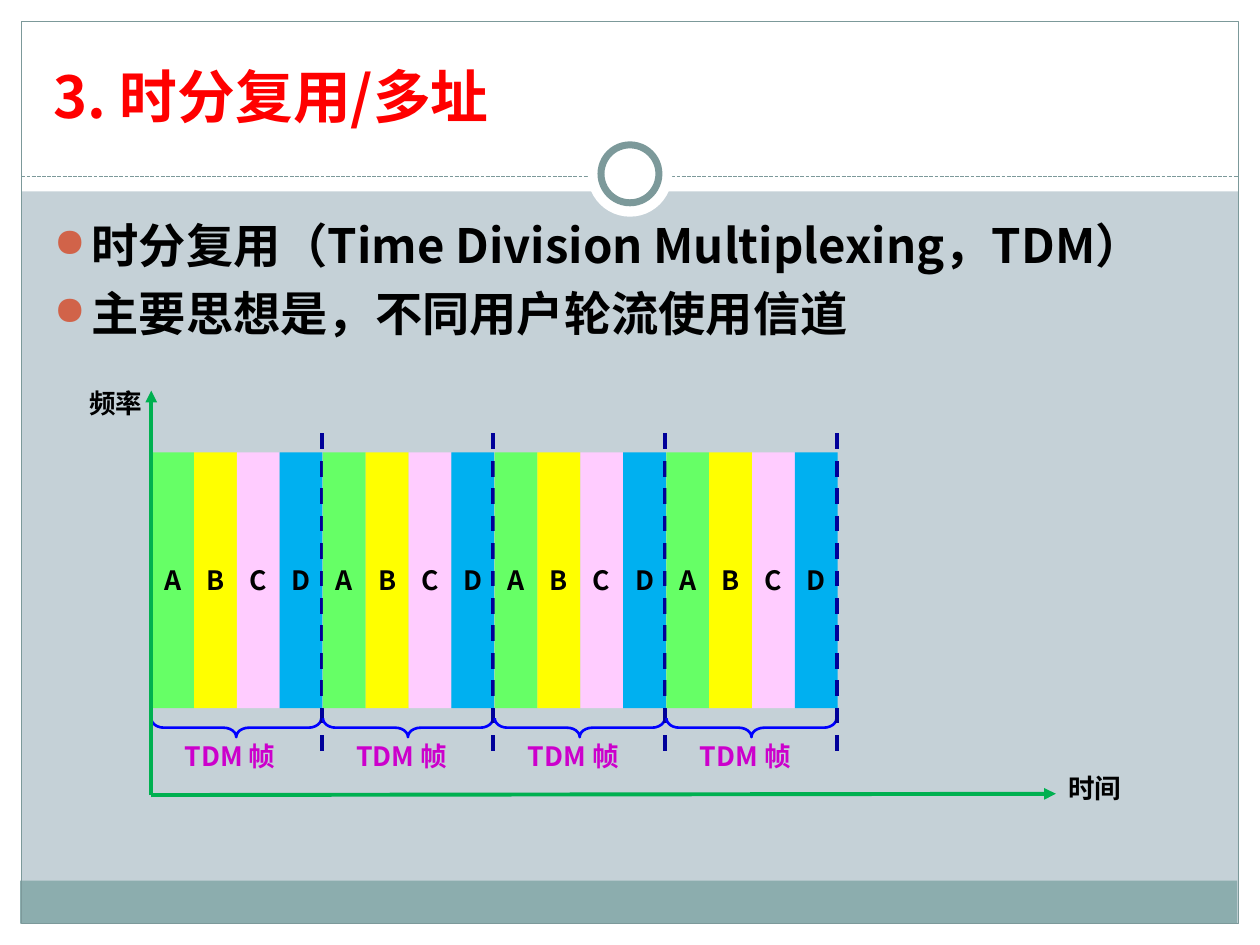
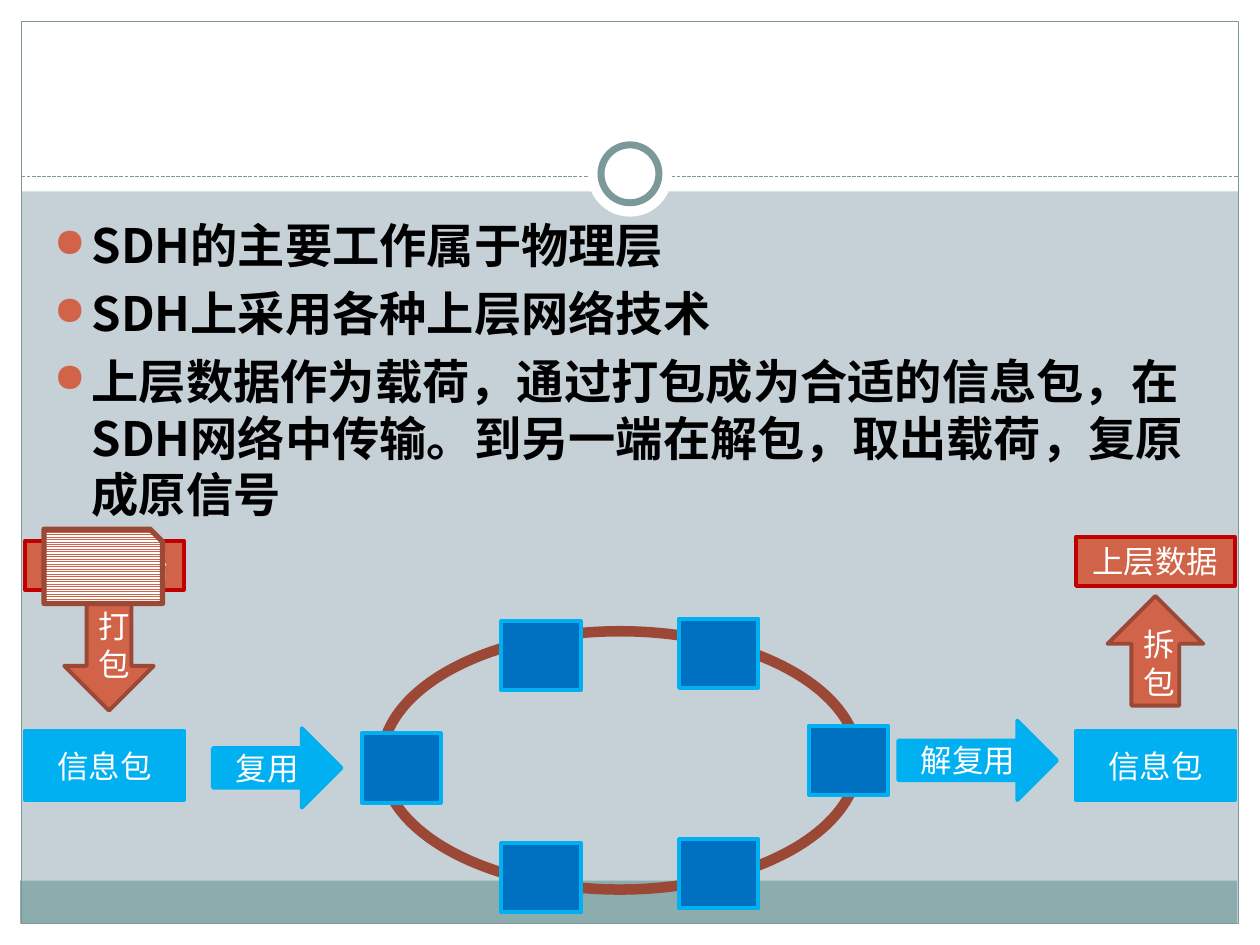
from lxml import etree
from pptx import Presentation
from pptx import util as u
from pptx.dml.color import RGBColor
from pptx.enum import dml, shapes, text
from pptx.oxml.ns import qn

presentation = Presentation()
presentation.slide_width = u.Inches(10)
presentation.slide_height = u.Inches(7.5)

# Grid: 100 columns by 75 rows of square cells
COLUMN = presentation.slide_width / 100
ROW = presentation.slide_height / 75

FONT = "Noto Sans CJK SC"
WHITE, BLACK, SLATE, BAND = "FFFFFF", "000000", "7C999A", "8CADAE"
RUST, BROWN, RED = "D16349", "9B4936", "C00000"
SKY, BLUE, GREEN, NAVY = "00B0F0", "0070C0", "00B050", "000099"

colour = RGBColor.from_string
KIND = shapes.MSO_SHAPE
DASH = dml.MSO_LINE
MIDDLE, BOTTOM, TOP = text.MSO_ANCHOR.MIDDLE, text.MSO_ANCHOR.BOTTOM, text.MSO_ANCHOR.TOP


def draw(slide, kind, box, fill=None, line=None, width=0, label="", size=18,
         ink=WHITE, bold=False, wrap=True, anchor=MIDDLE):
    """Add a shape, or a left-aligned text box when kind is None."""
    left, top, wide, high = box
    place = [int(v) for v in (left * COLUMN, top * ROW, wide * COLUMN, high * ROW)]
    if kind is None:
        shape = slide.shapes.add_textbox(*place)
    else:
        shape = slide.shapes.add_shape(kind, *place)
        shape.shadow.inherit = False
    if fill:
        shape.fill.solid()
        shape.fill.fore_color.rgb = colour(fill)
    else:
        shape.fill.background()
    if line:
        shape.line.color.rgb = colour(line)
        shape.line.width = u.Pt(width)
    else:
        shape.line.fill.background()
    if label:
        frame = shape.text_frame
        frame.text = label
        frame.word_wrap = wrap
        frame.vertical_anchor = anchor
        for paragraph in frame.paragraphs:
            paragraph.alignment = text.PP_ALIGN.LEFT if kind is None else text.PP_ALIGN.CENTER
            for run in paragraph.runs:
                run.font.size = u.Pt(size)
                run.font.bold = bold
                run.font.color.rgb = colour(ink)
                run.font.name = FONT
                etree.SubElement(run.font._element, qn("a:ea"), typeface=FONT)
    return shape


def connect(slide, start, end, ink, width, dash=None, arrow=False):
    """Add a straight line, dashed or with an arrowhead at its end."""
    connector = slide.shapes.add_connector(
        shapes.MSO_CONNECTOR.STRAIGHT, int(start[0] * COLUMN), int(start[1] * ROW),
        int(end[0] * COLUMN), int(end[1] * ROW))
    connector.line.color.rgb = colour(ink)
    connector.line.width = u.Pt(width)
    if dash:
        connector.line.dash_style = dash
    properties = connector._element.spPr
    if arrow:
        etree.SubElement(properties.find(qn("a:ln")), qn("a:tailEnd"), type="triangle")
    etree.SubElement(properties, qn("a:effectLst"))


# Shared look and bulleted text of both slides
bodies = [
    "时分复用（Time Division Multiplexing，TDM）\n主要思想是，不同用户轮流使用信道",
    "SDH的主要工作属于物理层\nSDH上采用各种上层网络技术\n"
    "上层数据作为载荷，通过打包成为合适的信息包，在SDH网络中传输。到另一端在解包，取出载荷，复原成原信号",
]
margins = [(0, 73.3, 100, 1.7), (0, 0, 100, 15.2), (0, 0, 1.7, 75), (98.3, 0, 1.7, 75)]
for body in bodies:
    slide = presentation.slides.add_slide(presentation.slide_layouts[6])
    slide.background.fill.solid()
    slide.background.fill.fore_color.rgb = colour("C5D1D7")
    for margin in margins:
        draw(slide, KIND.RECTANGLE, margin, WHITE)
    draw(slide, KIND.RECTANGLE, (1.6, 69.9, 96.6, 3.4), BAND)
    draw(slide, KIND.RECTANGLE, (1.7, 1.7, 96.6, 71.6), line=SLATE, width=0.75)
    connect(slide, (1.7, 14), (98.3, 14), SLATE, 0.75, DASH.SQUARE_DOT)
    draw(slide, KIND.OVAL, (46.65, 10.5, 6.7, 6.7), WHITE)
    draw(slide, KIND.OVAL, (47.7, 11.5, 4.6, 4.6), WHITE, SLATE, 4)
    if body == bodies[1]:
        draw(slide, KIND.OVAL, (30.3, 50.1, 37.8, 20.5), line=BROWN, width=6)

    bullets = draw(slide, None, (3.3, 16.7, 93, 50), label=body, size=27,
                   ink=BLACK, bold=True, anchor=TOP)
    for paragraph in bullets.text_frame.paragraphs:
        paragraph.space_before = u.Pt(6.3)
        properties = paragraph._element.get_or_add_pPr()
        properties.set("marL", str(int(3 * COLUMN)))
        properties.set("indent", str(int(-3 * COLUMN)))
        tint = etree.SubElement(properties, qn("a:buClr"))
        etree.SubElement(tint, qn("a:srgbClr"), val=RUST)
        etree.SubElement(properties, qn("a:buSzPct"), val="85000")
        etree.SubElement(properties, qn("a:buChar"), char="●")

multiplexing, transport = presentation.slides

# Slide 1: title
draw(multiplexing, None, (3.3, 2.5, 93.3, 8.3), label="3. 时分复用/多址", size=33,
     ink="FF0000", bold=True, anchor=BOTTOM)

# Slide 1: time slots A to D in four frames
ORIGIN, FRAME, SLOT = 12, 13.63, 3.4
FRAMES = 4
slots = {"A": "66FF66", "B": "FFFF00", "C": "FFCCFF", "D": SKY}
captions = [("频率", 6.1, 30.5, 6.2, BLACK), ("时间", 83.8, 61.1, 6.2, BLACK)]
for index in range(FRAMES):
    left = ORIGIN + index * FRAME
    for position, (user, fill) in enumerate(slots.items()):
        draw(multiplexing, KIND.RECTANGLE, (left + position * SLOT, 35.9, SLOT, 20.3),
             fill, label=user, size=15.2, ink=BLACK, bold=True, wrap=False)
    brace = draw(multiplexing, KIND.LEFT_BRACE, (left + 6, 51, 1.5, 13.5),
                 line="0000FF", width=1.5)
    brace.rotation = 270
    brace.adjustments[0] = 0.67
    edge = left + FRAME - 0.1
    connect(multiplexing, (edge, 34.4), (edge, 60.1), NAVY, 2.25, DASH.DASH)
    captions.append(("TDM 帧", left + 1.65, 58.5, 9.9, "CC00CC"))

# Slide 1: axes and captions
connect(multiplexing, (ORIGIN, 63.1), (83.8, 63), GREEN, 2.25, arrow=True)
connect(multiplexing, (ORIGIN, 63.1), (ORIGIN, 31), GREEN, 2.25, arrow=True)
for label, left, top, wide, ink in captions:
    caption = draw(multiplexing, None, (left, top, wide, 3.3), label=label, size=15.2,
                   ink=ink, bold=True, wrap=False, anchor=TOP)
    caption.text_frame.paragraphs[0].line_spacing = 0.9

# Slide 2: nodes on the ring
nodes = [(28.7, 58.2), (39.8, 49.3), (53.9, 49.1), (64.2, 57.6), (39.8, 66.9), (53.9, 66.6)]
for left, top in nodes:
    draw(transport, KIND.RECTANGLE, (left, top, 6.3, 5.5), BLUE, SKY, 2.25)

# Slide 2: packing on the left, unpacking on the right
steps = [
    (KIND.RECTANGLE, (2, 42.9, 12.6, 3.9), RUST, RED, "上层数据"),
    (KIND.DOWN_ARROW, (5.1, 47.7, 7.1, 8.7), RUST, BROWN, "打包"),
    (KIND.RECTANGLE, (2, 58, 12.6, 5.5), SKY, SKY, "信息包"),
    (KIND.RIGHT_ARROW, (16.9, 57.8, 10.2, 6.3), SKY, SKY, "复用"),
    (KIND.RIGHT_ARROW, (71.3, 57.2, 12.6, 6.3), SKY, SKY, "解复用"),
    (KIND.RECTANGLE, (85.4, 58, 12.6, 5.5), SKY, SKY, "信息包"),
    (KIND.UP_ARROW, (87.9, 47.3, 7.6, 8.7), RUST, BROWN, "拆包"),
    (KIND.RECTANGLE, (85.4, 42.6, 12.6, 3.9), RUST, RED, "上层数据"),
]
for kind, box, fill, line, label in steps:
    draw(transport, kind, box, fill, line, 2.25, label)

# Slide 2: striped sheet over the upper-layer data
sheet = draw(transport, KIND.SNIP_1_RECTANGLE, (3.5, 42, 9.4, 5.9), line=BROWN, width=3)
sheet.fill.patterned()
sheet.fill.pattern = dml.MSO_PATTERN.LIGHT_HORIZONTAL
sheet.fill.fore_color.rgb = colour(RUST)
sheet.fill.back_color.rgb = colour(WHITE)

presentation.save("out.pptx")
